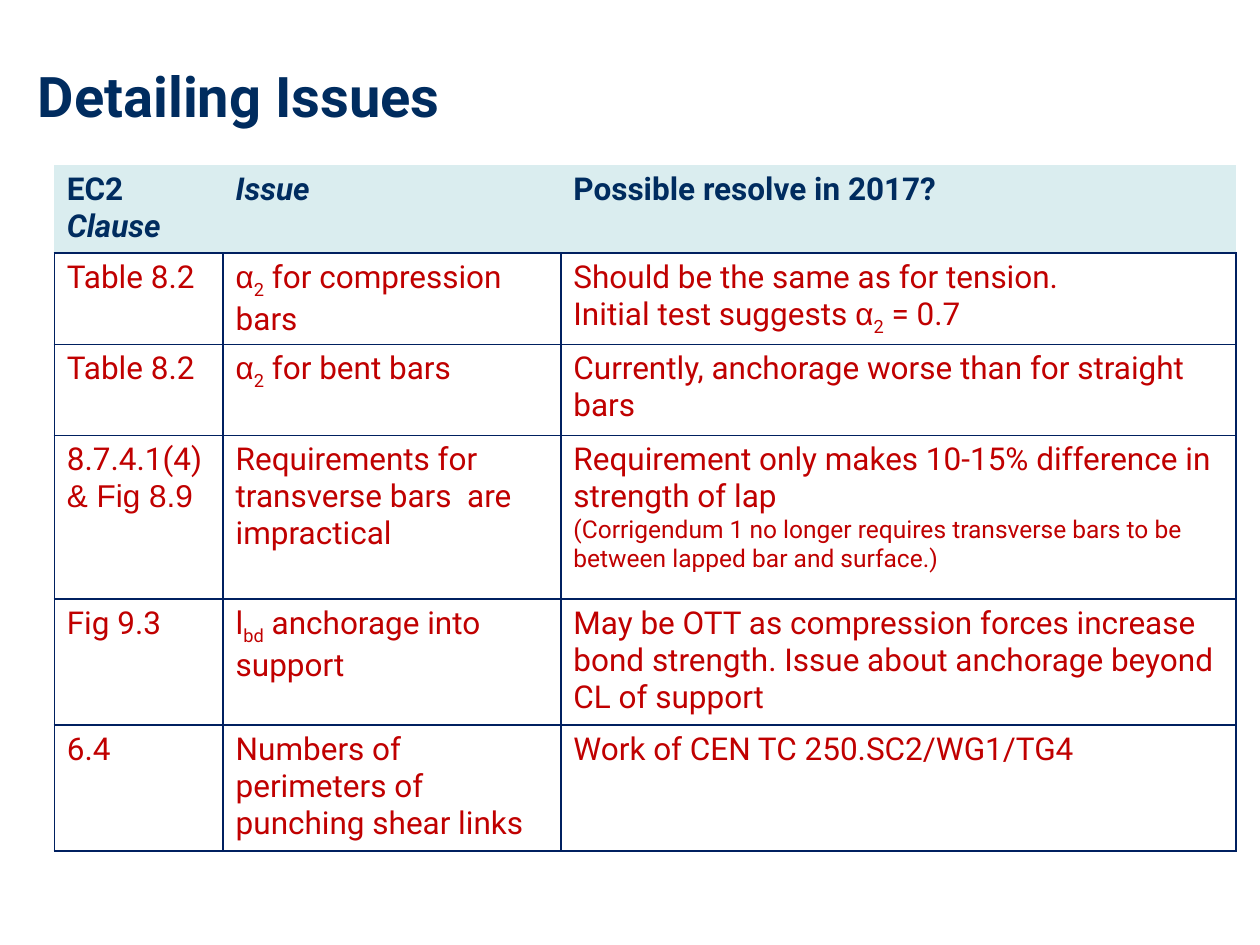
from lxml import etree
from pptx import Presentation
from pptx.dml.color import RGBColor
from pptx.enum.text import MSO_ANCHOR, PP_ALIGN
from pptx.oxml.ns import qn
from pptx.util import Pt

MIDDLE, LEFT = MSO_ANCHOR.MIDDLE, PP_ALIGN.LEFT
TITLE_ONLY = 5
PLAIN_TABLE_STYLE = "{2D5ABB26-0587-4C30-8999-92F81FD0307C}"
COLORS = {"navy": "002C5F", "red": "C00000", "header": "DAEDEF", "grid": "002060"}

COLUMN_WIDTHS = [96.5, 193, 385.9]
ROW_HEIGHTS = [50.4, 52, 52, 93.6, 72, 72, 28.8]

# A cell is a list of paragraphs, a paragraph a list of (text, format) spans
SUBSCRIPT = {"baseline": -25}
ALPHA_2 = [("α", {"font": "Arial"}), ("2", SUBSCRIPT)]
HEADER = [
    [[("EC2 ", {}), ("Clause", {"italic": True})]],
    [[("Issue", {"italic": True})]],
    [[("Possible resolve in 2017?", {})]],
]
BODY = [
    [
        [[("Table 8.2", {})]],
        [ALPHA_2 + [(" for compression bars", {})]],
        [
            [("Should be the same as for tension.", {})],
            [("Initial test suggests ", {})] + ALPHA_2 + [(" = 0.7", {})],
        ],
    ],
    [
        [[("Table 8.2", {})]],
        [ALPHA_2 + [(" for bent bars", {})]],
        [[("Currently, anchorage worse than for straight bars", {})]],
    ],
    [
        [[("8.7.4.1(4)", {})], [("& Fig 8.9", {"font": "Arial"})]],
        [[("Requirements for transverse bars  are impractical", {})]],
        [
            [("Requirement only makes 10-15% difference in strength of lap", {})],
            [("(Corrigendum 1 no longer requires transverse bars to be "
              "between lapped bar and surface.)", {"size": 14})],
        ],
    ],
    [
        [[("Fig 9.3", {})]],
        [[("l", {}), ("bd", SUBSCRIPT), (" anchorage into support", {})]],
        [[("May be OTT as compression forces increase bond strength. "
           "Issue about anchorage beyond CL of support", {})]],
    ],
    [
        [[("6.4", {})]],
        [[("Numbers of perimeters of punching shear links", {})]],
        [[("Work of CEN TC 250.SC2/WG1/TG4", {})]],
    ],
]


def add_span(para, text, font="Roboto", size=18, color="red", bold=False,
             italic=False, baseline=0):
    span = para.add_run()
    span.text = text
    span.font.name = font
    span.font.size = Pt(size)
    span.font.bold = bold
    span.font.italic = italic
    span.font.color.rgb = RGBColor.from_string(COLORS[color])
    if baseline:
        span.font._element.set("baseline", str(baseline * 1000))


def write_cell(cell, paragraphs, **style):
    frame = cell.text_frame
    for index, spans in enumerate(paragraphs):
        para = frame.add_paragraph() if index else frame.paragraphs[0]
        for text, extra in spans:
            add_span(para, text, **{**style, **extra})


def set_borders(cell, sides):
    properties = cell._tc.get_or_add_tcPr()
    for side in sides:
        line = etree.SubElement(properties, qn(f"a:ln{side}"), w=str(Pt(1)))
        fill = etree.SubElement(line, qn("a:solidFill"))
        etree.SubElement(fill, qn("a:srgbClr"), val=COLORS["grid"])


def add_title(page, text):
    title = page.shapes.title
    title.left, title.top, title.width, title.height = Pt(14.4), Pt(9.4), Pt(499.7), Pt(90)
    title.text_frame.vertical_anchor = MIDDLE
    para = title.text_frame.paragraphs[0]
    para.alignment = LEFT
    add_span(para, text, size=32, color="navy", bold=True)


def add_issue_table(page):
    frame = page.shapes.add_table(
        len(ROW_HEIGHTS), len(COLUMN_WIDTHS), Pt(31), Pt(94.3),
        Pt(sum(COLUMN_WIDTHS)), Pt(sum(ROW_HEIGHTS)))
    table = frame.table
    table.first_row = table.horz_banding = False
    for style in frame.element.iter(qn("a:tableStyleId")):
        style.text = PLAIN_TABLE_STYLE
    for column, width in zip(table.columns, COLUMN_WIDTHS):
        column.width = Pt(width)
    for row, height in zip(table.rows, ROW_HEIGHTS):
        row.height = Pt(height)

    # Header row
    for cell, paragraphs in zip(table.rows[0].cells, HEADER):
        write_cell(cell, paragraphs, color="navy", bold=True)
        set_borders(cell, "B")
        cell.fill.solid()
        cell.fill.fore_color.rgb = RGBColor.from_string(COLORS["header"])

    # Issue rows
    for row_index, contents in enumerate(BODY, start=1):
        for cell, paragraphs in zip(table.rows[row_index].cells, contents):
            write_cell(cell, paragraphs)
            set_borders(cell, "LRTB")
            cell.fill.background()

    # Open closing row
    for cell in table.rows[len(BODY) + 1].cells:
        set_borders(cell, "T")
        cell.fill.background()


def main():
    deck = Presentation()
    deck.slide_width, deck.slide_height = Pt(720), Pt(540)
    page = deck.slides.add_slide(deck.slide_layouts[TITLE_ONLY])
    add_title(page, "Detailing Issues")
    add_issue_table(page)
    deck.save("out.pptx")


if __name__ == "__main__":
    main()
